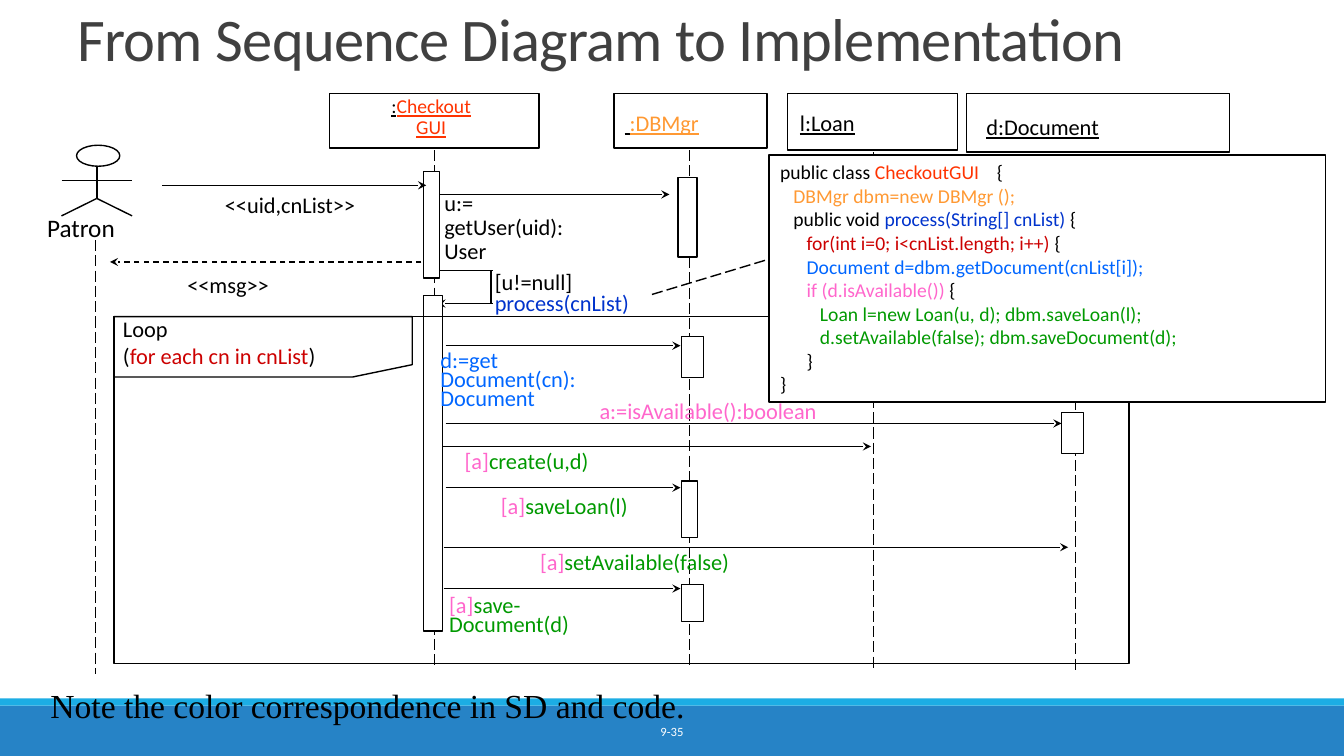
from lxml.etree import SubElement
from pptx import Presentation
from pptx.dml.color import RGBColor
from pptx.enum.dml import MSO_LINE
from pptx.enum.shapes import MSO_CONNECTOR, MSO_SHAPE
from pptx.enum.text import MSO_ANCHOR, PP_ALIGN
from pptx.oxml.ns import qn
from pptx.util import Cm, Pt

COLORS = {
    "black": "000000", "white": "FFFFFF", "title": "404040",
    "footer": "2683C6", "strip": "1CADE4", "gui": "FF3300",
    "database": "FF9933", "process": "0033CC", "loop": "CC0000",
    "document": "0066FF", "available": "FF66CC", "action": "009900",
}
COLORS = {name: RGBColor.from_string(value) for name, value in COLORS.items()}

deck = Presentation()
deck.slide_width, deck.slide_height = Cm(33.87), Cm(19.05)
page = deck.slides.add_slide(deck.slide_layouts[6])


def draw_line(x1, y1, x2, y2, arrow=False, dash=None):
    line = page.shapes.add_connector(
        MSO_CONNECTOR.STRAIGHT, Cm(x1), Cm(y1), Cm(x2), Cm(y2))
    line.line.color.rgb = COLORS["black"]
    line.line.width = Pt(1)
    if dash:
        line.line.dash_style = dash
    if arrow:
        SubElement(line.line._get_or_add_ln(), qn("a:tailEnd"), type="stealth")
    SubElement(line._element.spPr, qn("a:effectLst"))


def write(place, lines, size=16, spacing=1.0, align=PP_ALIGN.LEFT, inset=True,
          font="Calibri", underline=False, anchor=MSO_ANCHOR.TOP):
    """Each line is a list of (text, color name) spans."""
    frame = page.shapes.add_textbox(*map(Cm, place)).text_frame
    frame.word_wrap = True
    frame.vertical_anchor = anchor
    if not inset:
        frame.margin_left = frame.margin_right = 0
        frame.margin_top = frame.margin_bottom = 0
    for index, spans in enumerate(lines):
        para = frame.add_paragraph() if index else frame.paragraphs[0]
        para.alignment = align
        para.line_spacing = spacing
        for text, color in spans:
            span = para.add_run()
            span.text = text
            span.font.name, span.font.size = font, Pt(size)
            span.font.color.rgb = COLORS[color]
            span.font.underline = underline
    return frame


# Footer bands
for top, height, color in [(17.78, 1.27, "footer"), (17.6, 0.18, "strip")]:
    band = page.shapes.add_shape(
        MSO_SHAPE.RECTANGLE, 0, Cm(top), deck.slide_width, Cm(height))
    band.shadow.inherit = False
    band.fill.solid()
    band.fill.fore_color.rgb = COLORS[color]
    band.line.fill.background()
write((10.24, 17.93, 13.39, 1.02), [[("9-35", "white")]], size=9,
      align=PP_ALIGN.CENTER, anchor=MSO_ANCHOR.MIDDLE)

# Title
title = write((1.7, 0, 30.48, 1.98),
              [[("From Sequence Diagram to Implementation", "title")]],
              size=43.2, spacing=0.85, anchor=MSO_ANCHOR.BOTTOM)
title.paragraphs[0].runs[0].font._element.set("spc", "-50")

# Patron figure: body, legs, arms
for limb in [(2.44, 4.19, 2.44, 5), (2.44, 5, 3.33, 5.44),
             (2.44, 5, 1.55, 5.44), (1.55, 4.55, 3.33, 4.55)]:
    draw_line(*limb)

# Lifelines
for x, top, bottom in [(2.41, 6.05, 16.99), (10.95, 3.78, 16.84),
                       (17.37, 3.78, 16.84), (22.02, 3.84, 16.89),
                       (27.1, 3.89, 16.97)]:
    draw_line(x, top, x, bottom, dash=MSO_LINE.LONG_DASH)

# Call of the window on itself
draw_line(11.02, 6.81, 12.42, 6.81)
draw_line(12.37, 6.81, 12.37, 7.65)
draw_line(12.42, 7.65, 11.02, 7.65, arrow=True)

# Outlined shapes: patron head, object heads, activation bars, loop, code
rectangle = MSO_SHAPE.RECTANGLE
outlined = [
    (MSO_SHAPE.OVAL, False, (1.93, 3.66, 1.09, 0.53)),
    (rectangle, False, (8.31, 2.36, 5.28, 1.37)),
    (rectangle, False, (15.47, 2.36, 3.86, 1.37)),
    (rectangle, False, (19.84, 2.36, 4.29, 1.42)),
    (rectangle, False, (24.36, 2.36, 6.63, 1.47)),
    (rectangle, True, (10.67, 4.32, 0.41, 2.69)),
    (rectangle, True, (10.67, 7.44, 0.48, 8.46)),
    (rectangle, True, (17.09, 4.47, 0.48, 2.01)),
    (rectangle, True, (17.17, 8.48, 0.56, 1.04)),
    (rectangle, True, (17.17, 12.12, 0.41, 1.42)),
    (rectangle, True, (17.17, 14.73, 0.56, 0.94)),
    (rectangle, True, (26.75, 10.39, 0.56, 1.04)),
    (rectangle, False, (2.87, 7.98, 25.58, 8.74)),
    (rectangle, True, (19.38, 3.91, 14.02, 6.22)),
]
shapes = []
for kind, filled, place in outlined:
    shape = page.shapes.add_shape(kind, *map(Cm, place))
    if filled:
        shape.fill.solid()
        shape.fill.fore_color.rgb = COLORS["white"]
    else:
        shape.fill.background()
    shapes.append(shape)

# Loop tab
outline = page.shapes.build_freeform(Cm(8.89), Cm(9.5))
outline.add_line_segments(
    [(Cm(x), Cm(y)) for x, y in
     [(2.87, 9.5), (2.87, 7.98), (10.39, 7.98), (10.39, 9.19)]], close=True)
loop_tab = outline.convert_to_shape()
loop_tab.fill.background()
for shape in shapes + [loop_tab]:
    shape.shadow.inherit = False
    shape.line.color.rgb = COLORS["black"]
    shape.line.width = Pt(1)

# Messages
for start, end, y in [(4.09, 10.74, 4.67), (11.1, 16.87, 4.9),
                      (11.23, 17.15, 8.71), (11.23, 26.75, 10.67),
                      (11.15, 21.95, 11.25), (11.23, 17.15, 12.29),
                      (11.18, 26.92, 13.79), (11.18, 17.15, 14.83)]:
    draw_line(start, y, end, y, arrow=True)
draw_line(10.62, 6.6, 2.77, 6.6, arrow=True, dash=MSO_LINE.DASH)
draw_line(16.43, 7.42, 19.38, 6.53, dash=MSO_LINE.LONG_DASH)

# Object names
write((9.38, 2.31, 2.97, 1.35),
      [[(":", "black"), ("Checkout", "gui")], [("GUI", "gui")]],
      size=14, spacing=0.9, align=PP_ALIGN.CENTER, underline=True)
for place, spans in [
    ((15.49, 2.62, 2.8, 0.94), [(" ", "black"), (":DBMgr", "database")]),
    ((19.91, 2.62, 2.3, 0.94), [("l:Loan", "black")]),
    ((24.61, 2.72, 3.8, 0.94), [("d:Document", "black")]),
]:
    write(place, [spans], underline=True)
write((1.19, 5.36, 2, 0.76), [[("Patron", "black")]], size=18, inset=False)

# Message labels
write((3.73, 4.7, 7.16, 0.94), [[("<<uid,cnList>>", "black")]],
      align=PP_ALIGN.CENTER)
write((4.47, 6.71, 2.9, 0.94), [[("<<msg>>", "black")]])
write((10.95, 4.72, 6.96, 2.11),
      [[(text, "black")] for text in ("u:=", "getUser(uid):", "User")],
      spacing=0.9)
self_call = write((12.22, 6.63, 7.75, 1.47),
                  [[("[u!=null]", "black")], [("process(cnList)", "process")]])
self_call.paragraphs[1].line_spacing = 0.75
write((3.1, 7.95, 7.92, 1.35),
      [[("Loop", "black")],
       [("(", "black"), ("for each cn in cnList", "loop"), (")", "black")]],
      inset=False)
write((10.85, 8.79, 4.3, 1.73),
      [[(text, "document")] for text in ("d:=get", "Document(cn):", "Document")],
      spacing=0.7)
write((14.86, 9.88, 6.4, 0.94), [[("a:=isAvailable():boolean", "available")]])

guard = ("[a]", "available")
write((11.46, 11.15, 4, 0.94), [[guard, ("create(u,d)", "action")]])
write((10.59, 12.47, 7.26, 0.76), [[guard, ("saveLoan(l)", "action")]],
      spacing=0.7, align=PP_ALIGN.CENTER)
write((13.36, 13.69, 5.7, 0.94), [[guard, ("setAvailable(false)", "action")]])
write((11.07, 14.96, 3.9, 1.24),
      [[guard, ("save-", "action")], [("Document(d)", "action")]], spacing=0.7)

# Code
write((19.66, 4.04, 13.56, 5.99), [
    [("public class ", "black"), ("CheckoutGUI", "gui"), ("    {", "black")],
    [("   DBMgr dbm=new DBMgr ();", "database")],
    [("   public void ", "black"), ("process(String[] cnList)", "process"),
     (" {", "black")],
    [("      for(int i=0; i<cnList.length; i++)", "loop"), (" {", "black")],
    [("      Document d=dbm.getDocument(cnList[i]);", "document")],
    [("      if (d.isAvailable())", "available"), (" {", "black")],
    [("         Loan l=new Loan(u, d); dbm.saveLoan(l);", "action")],
    [("         d.setAvailable(false); dbm.saveDocument(d);", "action")],
    [("      }", "black")],
    [("}", "black")],
], size=14, inset=False)

# Closing note
write((1.02, 17.12, 17.2, 1.27),
      [[("Note the color correspondence in SD and code.", "black")]],
      size=24, font="Times New Roman", anchor=MSO_ANCHOR.MIDDLE)

deck.save("out.pptx")
